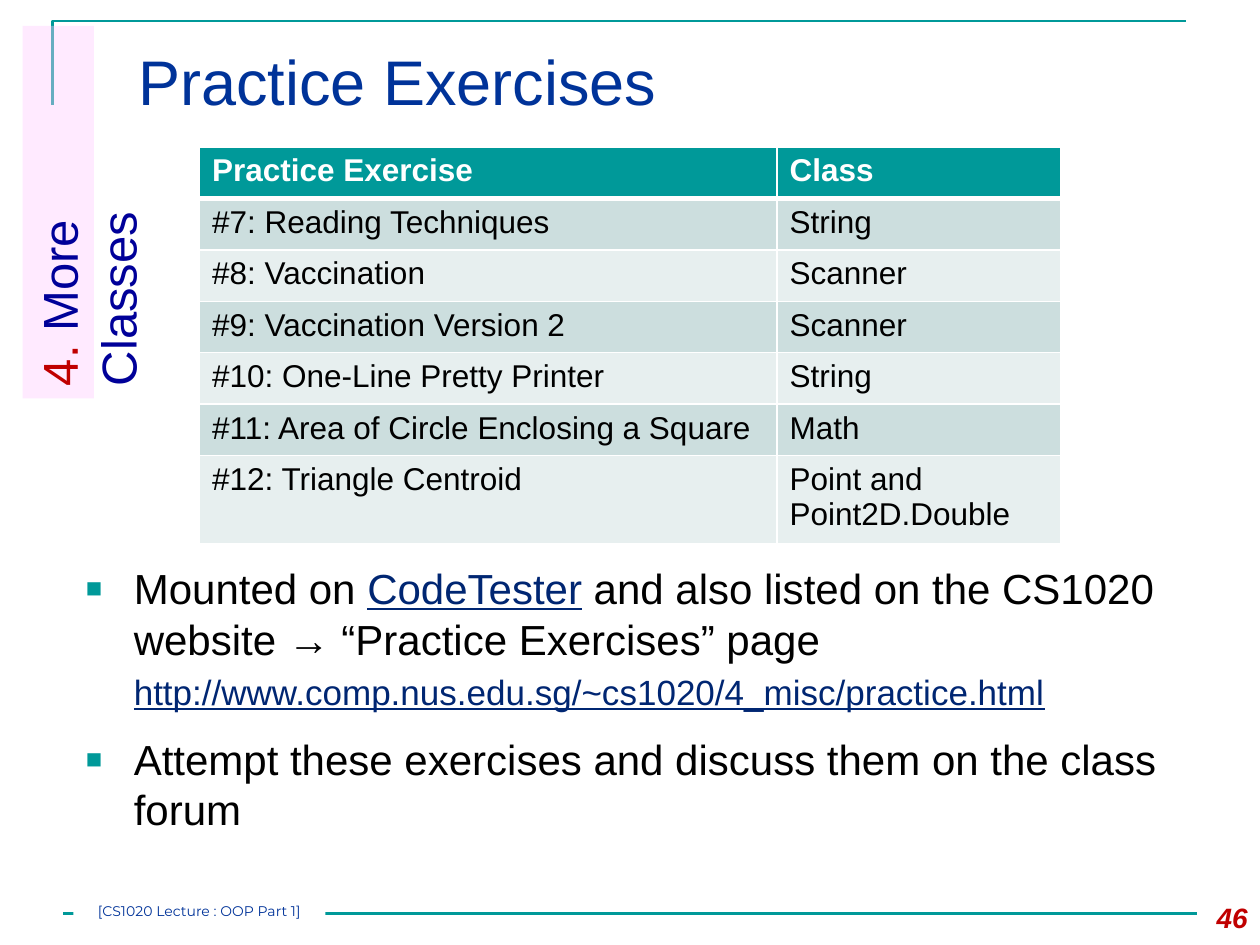
from lxml import etree
from pptx import Presentation
from pptx.dml.color import RGBColor
from pptx.enum.shapes import MSO_CONNECTOR, MSO_SHAPE
from pptx.enum.text import MSO_ANCHOR, PP_ALIGN
from pptx.oxml.ns import qn
from pptx.util import Inches, Pt

STRAIGHT = MSO_CONNECTOR.STRAIGHT
RECTANGLE = MSO_SHAPE.RECTANGLE
TOP, MIDDLE = MSO_ANCHOR.TOP, MSO_ANCHOR.MIDDLE
LEFT, CENTER, RIGHT = PP_ALIGN.LEFT, PP_ALIGN.CENTER, PP_ALIGN.RIGHT

TEAL = RGBColor(0x00, 0x99, 0x99)
BLUE = RGBColor(0x00, 0x33, 0x99)
NAVY = RGBColor(0x00, 0x00, 0x99)
LINK = RGBColor(0x00, 0x26, 0x72)
RED = RGBColor(0xC0, 0x00, 0x00)
PINK = RGBColor(0xFF, 0xCC, 0xFF)
WHITE = RGBColor(0xFF, 0xFF, 0xFF)
BLACK = RGBColor(0x00, 0x00, 0x00)
BANDS = (RGBColor(0xE7, 0xEF, 0xEF), RGBColor(0xCC, 0xDE, 0xDE))

COLUMNS, ROWS = 120, 90
EXERCISES = [
    ("Practice Exercise", "Class"),
    ("#7: Reading Techniques", "String"),
    ("#8: Vaccination", "Scanner"),
    ("#9: Vaccination Version 2", "Scanner"),
    ("#10: One-Line Pretty Printer", "String"),
    ("#11: Area of Circle Enclosing a Square", "Math"),
    ("#12: Triangle Centroid", "Point and Point2D.Double"),
]


class LectureSlide:
    """Draws lecture elements on one slide, placed on a grid of 120 columns and 90 rows."""

    def __init__(self, presentation, font="Arial"):
        self.font = font
        self.slide = presentation.slides.add_slide(presentation.slide_layouts[6])
        self.shapes = self.slide.shapes
        self.column = presentation.slide_width / COLUMNS
        self.row = presentation.slide_height / ROWS

    def across(self, columns):
        return round(columns * self.column)

    def down(self, rows):
        return round(rows * self.row)

    def place(self, left, top, width, height):
        return self.across(left), self.down(top), self.across(width), self.down(height)

    def add_run(self, paragraph, text, size, color, bold=False, italic=False,
                underline=False, font=None):
        run = paragraph.add_run()
        run.text = text
        run.font.name = font or self.font
        run.font.size = Pt(size)
        run.font.color.rgb = color
        run.font.bold = bold
        run.font.italic = italic
        run.font.underline = underline

    def text_box(self, *place):
        frame = self.shapes.add_textbox(*self.place(*place)).text_frame
        frame.word_wrap = True
        return frame

    def rectangle(self, place, color, opacity=100):
        shape = self.shapes.add_shape(RECTANGLE, *self.place(*place))
        shape.shadow.inherit = False
        shape.fill.solid()
        shape.fill.fore_color.rgb = color
        shape.line.fill.background()
        if opacity < 100:
            solid = shape.fill._xPr.find(qn("a:solidFill"))
            etree.SubElement(solid[0], qn("a:alpha"), val=str(opacity * 1000))
        shape.text_frame.word_wrap = True
        shape.text_frame.vertical_anchor = TOP
        return shape

    def corner(self, points):
        start, *others = [(self.across(x), self.down(y)) for x, y in points]
        builder = self.shapes.build_freeform(*start)
        builder.add_line_segments(others, close=False)
        shape = builder.convert_to_shape()
        shape.shadow.inherit = False
        shape.fill.background()
        shape.line.color.rgb = TEAL
        shape.line.width = Pt(1.5)

    def rule(self, left, right, row):
        line = self.shapes.add_connector(
            STRAIGHT, self.across(left), self.down(row), self.across(right), self.down(row))
        line.line.color.rgb = TEAL
        line.line.width = Pt(1.5)
        etree.SubElement(line._element.spPr, qn("a:effectLst"))

    def body_paragraph(self, frame, runs, bullet=True, space=0):
        paragraph = frame.paragraphs[0]
        if paragraph.runs:
            paragraph = frame.add_paragraph()
        properties = paragraph._p.get_or_add_pPr()
        properties.set("marL", str(Inches(0.38)))
        properties.set("indent", str(Inches(-0.38 if bullet else 0)))
        if space:
            paragraph.space_before = Pt(space)
        if bullet:
            color = etree.SubElement(properties, qn("a:buClr"))
            etree.SubElement(color, qn("a:srgbClr"), val=str(TEAL))
            etree.SubElement(properties, qn("a:buSzPct"), val="65000")
            etree.SubElement(properties, qn("a:buFont"), typeface=self.font)
            etree.SubElement(properties, qn("a:buChar"), char="■")
        for text, size, color, underline in runs:
            self.add_run(paragraph, text, size, color, underline=underline)

    def cell_borders(self, cell, top, bottom):
        properties = cell._tc.get_or_add_tcPr()
        for side, width in (("L", 1), ("R", 1), ("T", top), ("B", bottom)):
            line = etree.SubElement(properties, qn(f"a:ln{side}"), w=str(Pt(width)))
            fill = etree.SubElement(line, qn("a:solidFill"))
            etree.SubElement(fill, qn("a:srgbClr"), val=str(WHITE))

    def table(self, left, top, widths, heights, records):
        place = self.place(left, top, sum(widths), sum(heights))
        table = self.shapes.add_table(len(records), len(widths), *place).table
        for column, width in zip(table.columns, widths):
            column.width = self.across(width)
        for index, (record, height) in enumerate(zip(records, heights)):
            table.rows[index].height = self.down(height)
            header = index == 0
            for cell, text in zip(table.rows[index].cells, record):
                self.cell_borders(cell, 3 if index == 1 else 1, 3 if header else 1)
                cell.fill.solid()
                cell.fill.fore_color.rgb = TEAL if header else BANDS[index % 2]
                self.add_run(cell.text_frame.paragraphs[0], text, 18,
                             WHITE if header else BLACK, bold=header)


def main():
    presentation = Presentation()
    presentation.slide_width, presentation.slide_height = Inches(10), Inches(7.5)
    page = LectureSlide(presentation)

    page.corner([(5, 10), (5, 2), (113, 2)])
    page.rule(6, 114, 87)

    title = page.text_box(12, 3, 102, 10.3)
    title.vertical_anchor = MIDDLE
    title.margin_bottom = Inches(0.13)
    page.add_run(title.paragraphs[0], "Practice Exercises", 36, BLUE)

    number = page.text_box(112, 85.2, 8, 4.8).paragraphs[0]
    number.alignment = RIGHT
    page.add_run(number, "46", 16, RED, bold=True, italic=True)

    section = page.rectangle((-12.2, 16.8, 35.5, 6.8), PINK, opacity=40)
    section.rotation = 270
    heading = section.text_frame.paragraphs[0]
    heading.alignment = LEFT
    page.add_run(heading, "4.", 28, RED)
    page.add_run(heading, " More Classes", 28, NAVY)

    footer = page.rectangle((7, 86, 24, 2), WHITE).text_frame
    footer.margin_left = footer.margin_right = footer.margin_top = footer.margin_bottom = 0
    footer.paragraphs[0].alignment = CENTER
    page.add_run(footer.paragraphs[0], "[CS1020 Lecture : OOP Part 1]", 8, BLUE,
                 font="Montserrat")

    body = page.text_box(7, 53, 105, 26.5)
    page.body_paragraph(body, [
        ("Mounted on ", 24, BLACK, False),
        ("CodeTester", 24, LINK, True),
        (" and also listed on the CS1020 website → “Practice Exercises” page", 24, BLACK, False),
    ])
    page.body_paragraph(body, [
        ("http://www.comp.nus.edu.sg/~cs1020/4_misc/practice.html", 20, LINK, True),
    ], bullet=False, space=4)
    page.body_paragraph(body, [
        ("Attempt these exercises and discuss them on the class forum", 24, BLACK, False),
    ], space=12)

    page.table(19, 14, [55, 27], [4.9] * 6 + [8.1], EXERCISES)
    presentation.save("out.pptx")


if __name__ == "__main__":
    main()
